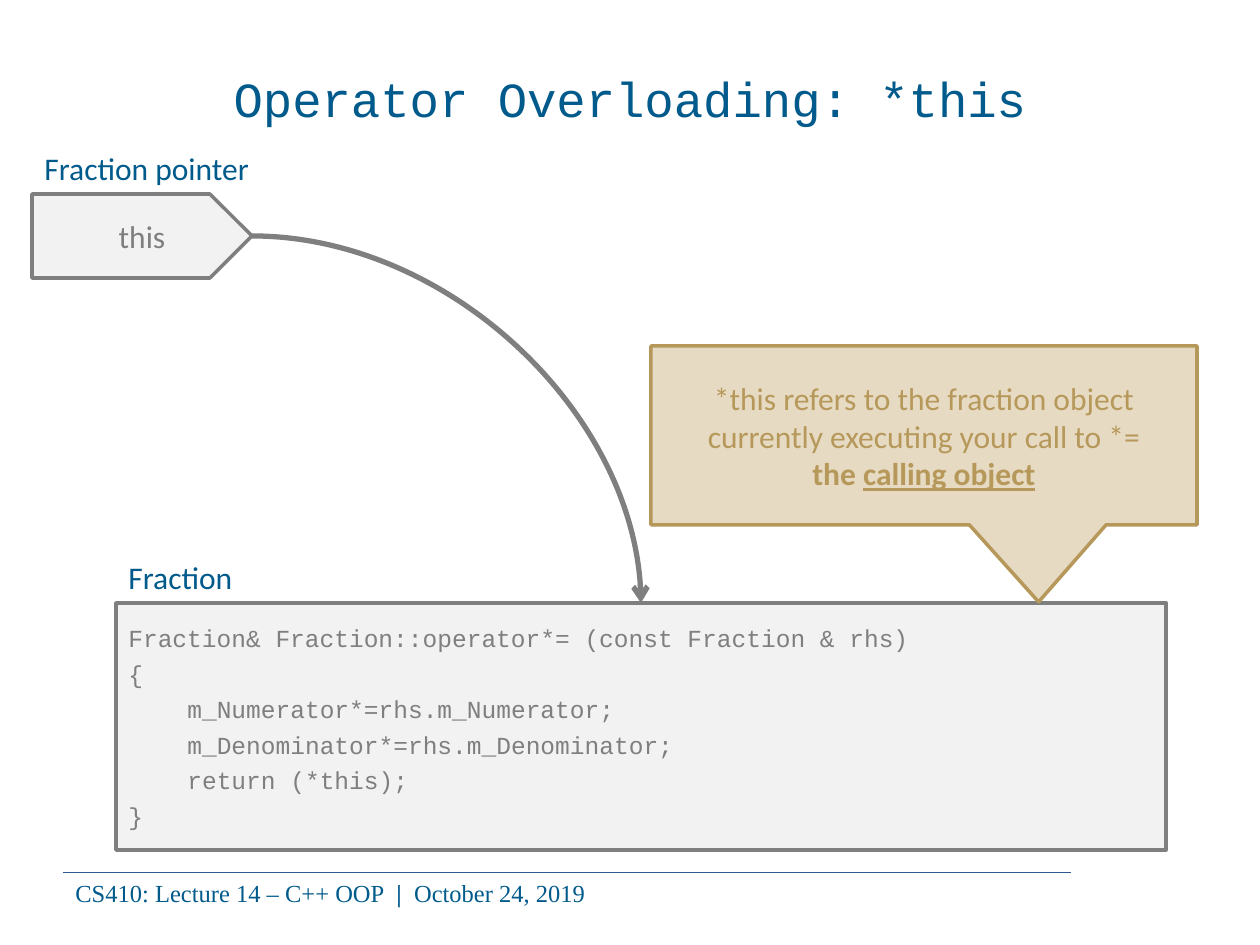
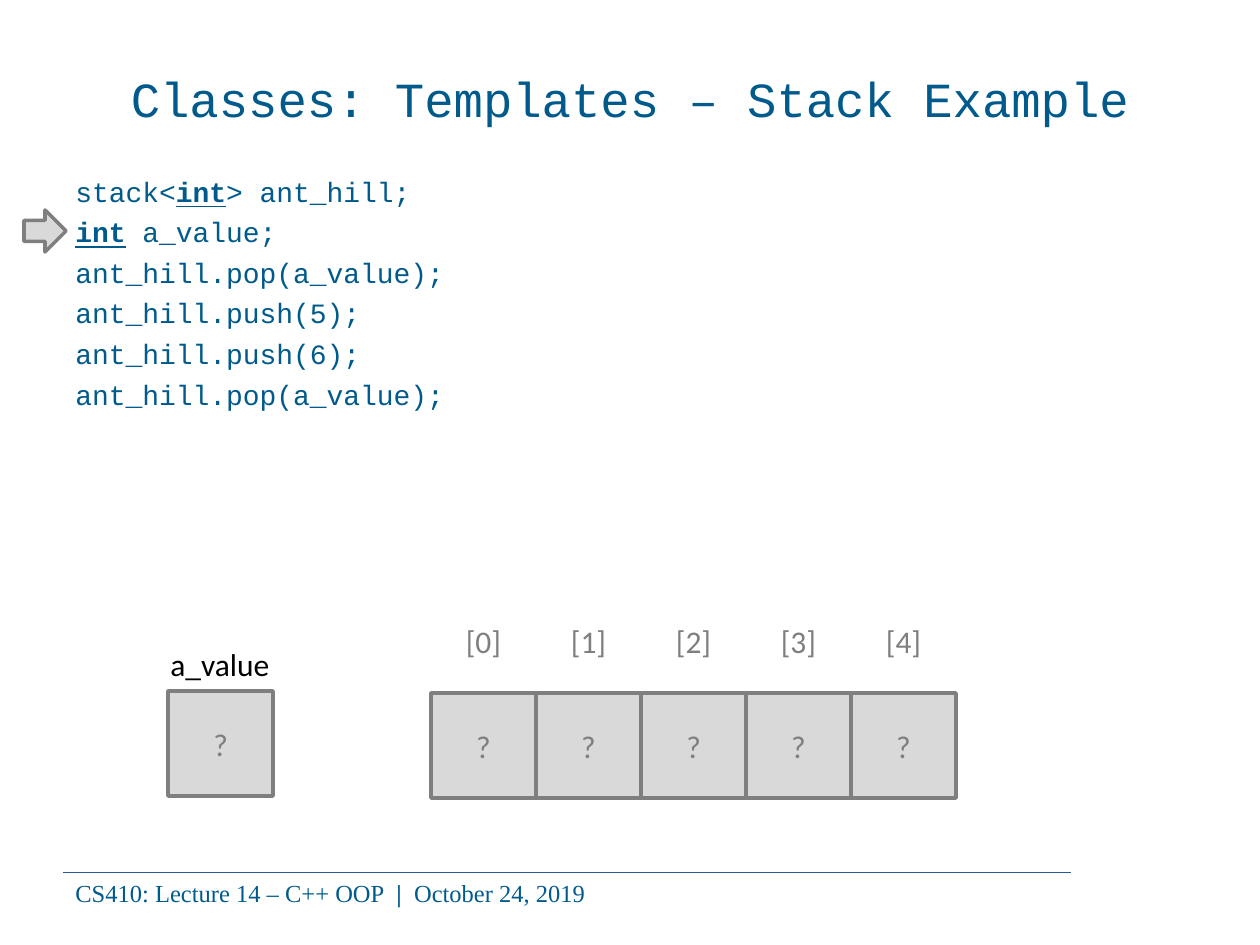
from dataclasses import dataclass

from pptx import Presentation
from pptx.dml.color import RGBColor
from pptx.enum.shapes import MSO_CONNECTOR, MSO_SHAPE
from pptx.enum.text import MSO_ANCHOR, PP_ALIGN
from pptx.oxml.ns import qn
from pptx.util import Emu, Pt
from lxml import etree

RECT = MSO_SHAPE.RECTANGLE
CALLOUT = MSO_SHAPE.RECTANGULAR_CALLOUT
ARROW = MSO_SHAPE.RIGHT_ARROW
STRAIGHT, CURVE = MSO_CONNECTOR.STRAIGHT, MSO_CONNECTOR.CURVE
TOP, MIDDLE = MSO_ANCHOR.TOP, MSO_ANCHOR.MIDDLE
LEFT, CENTER = PP_ALIGN.LEFT, PP_ALIGN.CENTER
TITLE_ONLY = 5
PX = 914400 / 126


@dataclass(frozen=True)
class Theme:
    blue: str = "005A8B"
    rule: str = "2D588D"
    gray: str = "7F7F7F"
    pale: str = "F2F2F2"
    cell: str = "D9D9D9"
    gold: str = "B6985A"
    sand: str = "E6DAC2"
    black: str = "000000"
    sans: str = "Calibri"
    mono: str = "Courier New"
    serif: str = "Times New Roman"
    head: int = 28
    label: int = 18
    code: int = 16
    small: int = 14


T = Theme()


def px(n):
    return Emu(round(n * PX))


def rgb(code):
    return RGBColor.from_string(code)


# Text: a paragraph is a string or a list of (text, marks), marks from "bu"
def write(frame, paras, color, size=T.label, face=T.sans, align=LEFT,
          anchor=TOP, before=0, wrap=True):
    frame.word_wrap = wrap
    frame.vertical_anchor = anchor
    for i, runs in enumerate(paras):
        para = frame.paragraphs[0] if i == 0 else frame.add_paragraph()
        para.alignment = align
        para.space_before = Pt(before)
        font = para.font
        font.name, font.size = face, Pt(size)
        font.color.rgb = rgb(color)
        for text, marks in [(runs, "")] if isinstance(runs, str) else runs:
            run = para.add_run()
            run.text = text
            if "b" in marks:
                run.font.bold = True
            if "u" in marks:
                run.font.underline = True


def add_text(slide, box, paras, color, **style):
    frame = slide.shapes.add_textbox(*map(px, box)).text_frame
    write(frame, paras, color, **style)


# Shapes
def paint(shape, fill, line):
    shape.shadow.inherit = False
    shape.fill.solid()
    shape.fill.fore_color.rgb = rgb(fill)
    shape.line.color.rgb = rgb(line)
    shape.line.width = Pt(2)


def add_box(slide, kind, box, fill, line=T.gray):
    shape = slide.shapes.add_shape(kind, *map(px, box))
    paint(shape, fill, line)
    return shape


def add_cell(slide, left, top, size):
    cell = add_box(slide, RECT, (left, top, size, size), T.cell)
    write(cell.text_frame, ["?"], T.gray, align=CENTER, anchor=MIDDLE)


def add_tag(slide, left, top, width, height, text):
    right, mid = left + width, top + height / 2
    neck = right - height / 2
    points = [(neck, top), (right, mid), (neck, top + height),
              (left, top + height)]
    pen = slide.shapes.build_freeform(left, top, scale=PX)
    pen.add_line_segments(points, close=True)
    tag = pen.convert_to_shape()
    paint(tag, T.pale, T.gray)
    write(tag.text_frame, [text], T.gray, align=CENTER, anchor=MIDDLE)


def add_line(slide, kind, ends, color, width):
    line = slide.shapes.add_connector(kind, *map(px, ends))
    line.line.color.rgb = rgb(color)
    line.line.width = Pt(width)
    etree.SubElement(line._element.spPr, qn("a:effectLst"))
    return line


def add_curve(slide, ends):
    curve = add_line(slide, CURVE, ends, T.gray, 3)
    props = curve._element.spPr
    props.find(qn("a:prstGeom")).set("prst", "curvedConnector2")
    etree.SubElement(props.find(qn("a:ln")), qn("a:tailEnd"), type="arrow")
    return curve


# Title and footer on every slide
def add_slide(deck, title):
    slide = deck.slides.add_slide(deck.slide_layouts[TITLE_ONLY])
    head = slide.shapes.title
    head.left, head.top, head.width, head.height = map(px, (63, 38, 1134, 120))
    write(head.text_frame, [title], T.blue, size=T.head, face=T.mono,
          align=CENTER, anchor=MIDDLE)
    add_line(slide, STRAIGHT, (63, 872, 1071, 872), T.rule, 0.5)
    foot = [("CS410: Lecture 14 – C++ OOP  ", ""), ("|  ", "b"),
            ("October 24, 2019", "")]
    add_text(slide, (63, 872, 1029, 43), [foot], T.blue, size=T.small,
             face=T.serif)
    return slide


def this_slide(deck):
    slide = add_slide(deck, "Operator Overloading: *this")
    add_tag(slide, 32, 194, 220, 84, "this")

    # Code, with the body of the function indented
    code = add_box(slide, RECT, (116, 603, 1050, 247), T.pale)
    lines = ["Fraction& Fraction::operator*= (const Fraction & rhs)", "{",
             "m_Numerator*=rhs.m_Numerator;",
             "m_Denominator*=rhs.m_Denominator;", "return (*this);", "}"]
    write(code.text_frame, lines, T.gray, size=T.small, face=T.mono,
          anchor=MIDDLE, before=3.5)
    for para in code.text_frame.paragraphs[2:5]:
        para._p.get_or_add_pPr().set("marL", str(px(59)))

    add_curve(slide, (252, 236, 641, 603))
    add_text(slide, (32, 143, 231, 51), ["Fraction pointer"], T.blue,
             wrap=False)
    add_text(slide, (116, 552, 147, 51), ["Fraction"], T.blue)

    # Callout
    note = add_box(slide, CALLOUT, (651, 346, 546, 179), T.sand, T.gold)
    note.adjustments[0], note.adjustments[1] = 0.21, 0.93
    words = ["*this refers to the fraction object currently executing "
             "your call to *=", [("the ", "b"), ("calling object", "bu")]]
    write(note.text_frame, words, T.gold, align=CENTER, anchor=MIDDLE)


def stack_slide(deck):
    slide = add_slide(deck, "Classes: Templates – Stack Example")
    lines = [[("stack<", ""), ("int", "bu"), ("> ant_hill;", "")],
             [("int", "bu"), (" a_value;", "")],
             "ant_hill.pop(a_value);", "ant_hill.push(5);",
             "ant_hill.push(6);", "ant_hill.pop(a_value);"]
    add_text(slide, (63, 168, 1081, 678), lines, T.blue, size=T.code,
             face=T.mono, before=4)

    # Stack cells and their indexes
    side, left, top = 105, 431, 693
    for i in range(5):
        x = left + i * side
        add_cell(slide, x, top, side)
        add_text(slide, (x, top - side, side, side), [f"[{i}]"], T.gray,
                 align=CENTER, anchor=MIDDLE)

    # Current line and its variable
    add_box(slide, ARROW, (24, 210, 42, 42), T.cell)
    add_cell(slide, 168, 691, side)
    add_text(slide, (158, 639, 125, 51), ["a_value"], T.black, wrap=False)


def main():
    deck = Presentation()
    deck.slide_width, deck.slide_height = px(1260), px(945)
    this_slide(deck)
    stack_slide(deck)
    deck.save("out.pptx")


if __name__ == "__main__":
    main()
